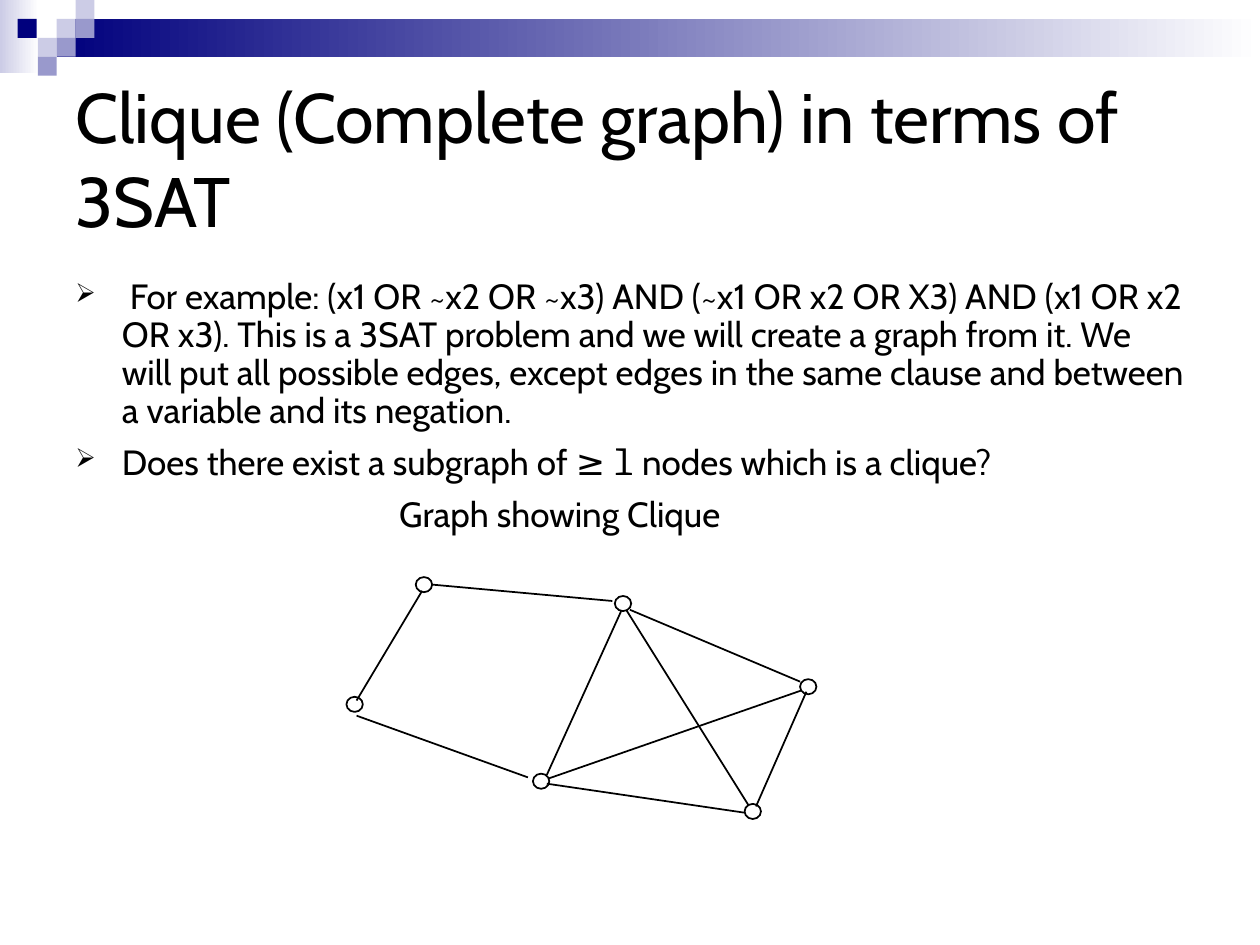
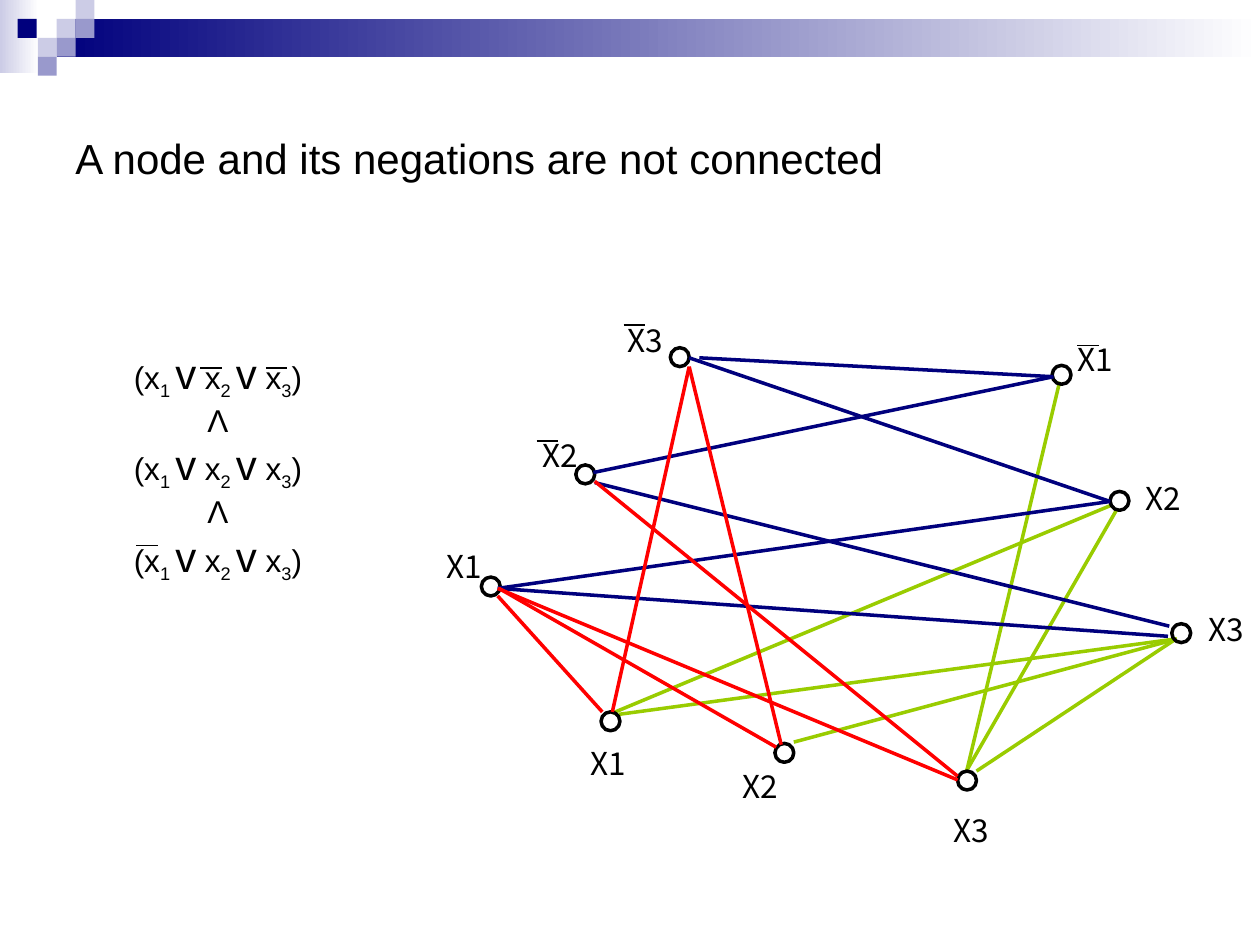
from lxml import etree
from pptx import Presentation
from pptx.dml.color import RGBColor
from pptx.enum.shapes import MSO_CONNECTOR as CONNECTOR, MSO_SHAPE as SHAPE
from pptx.enum.text import MSO_ANCHOR as ANCHOR, PP_ALIGN as ALIGN
from pptx.oxml.ns import qn
from pptx.util import Inches, Pt

BLACK, NAVY, PALE, MID = "000000", "00007D", "CCCCE6", "9999CC"
WHITE, RED, GREEN = "FFFFFF", "FF0000", "99CC00"
color = RGBColor.from_string


def add_text(slide, left, top, width, height, paragraphs, align=ALIGN.LEFT, anchor=ANCHOR.TOP):
    box = slide.shapes.add_textbox(Inches(left), Inches(top), Inches(width), Inches(height))
    frame = box.text_frame
    frame.word_wrap = True
    frame.vertical_anchor = anchor
    for number, runs in enumerate(paragraphs):
        paragraph = frame.add_paragraph() if number else frame.paragraphs[0]
        paragraph.alignment = align
        for text, size, font, baseline in runs:
            run = paragraph.add_run()
            run.text = text
            run.font.size = Pt(size)
            run.font.name = font
            run.font.color.rgb = color(BLACK)
            if baseline:
                run._r.get_or_add_rPr().set("baseline", str(baseline))
    return frame


def add_line(slide, x1, y1, x2, y2, line_color, weight):
    line = slide.shapes.add_connector(CONNECTOR.STRAIGHT, Inches(x1), Inches(y1), Inches(x2), Inches(y2))
    line.line.color.rgb = color(line_color)
    line.line.width = Pt(weight)
    etree.SubElement(line._element.spPr, qn("a:effectLst"))


deck = Presentation()
deck.slide_width, deck.slide_height = Inches(10), Inches(7.5)
clique, negations = [deck.slides.add_slide(deck.slide_layouts[6]) for _ in range(2)]

bands = [(0, 0, 0.31, 0.58, PALE), (0.45, 0.15, 9.55, 0.3, NAVY)]
squares = [
    (0.45, 0.15, PALE), (0.6, 0, PALE), (0.6, 0.15, MID), (0.3, 0.3, PALE),
    (0.14, 0.15, NAVY), (0.45, 0.3, MID), (0.3, 0.45, MID),
]
titles = [
    (clique, "Clique (Complete graph) in terms of 3SAT", 40, "Cabin"),
    (negations, "A node and its negations are not connected", 24, "Arial"),
]
for slide, title, size, font in titles:
    for left, top, width, height, start in bands:
        band = slide.shapes.add_shape(SHAPE.RECTANGLE, Inches(left), Inches(top), Inches(width), Inches(height))
        band.shadow.inherit = False
        band.line.fill.background()
        band.fill.gradient()
        band.fill.gradient_angle = 0
        for stop, shade in zip(band.fill.gradient_stops, (start, WHITE)):
            stop.color.rgb = color(shade)
    for left, top, shade in squares:
        square = slide.shapes.add_shape(SHAPE.RECTANGLE, Inches(left), Inches(top), Inches(0.15), Inches(0.15))
        square.shadow.inherit = False
        square.line.fill.background()
        square.fill.solid()
        square.fill.fore_color.rgb = color(shade)
    add_text(slide, 0.5, 0.5, 9, 1.5, [[(title, size, font, 0)]], anchor=ANCHOR.MIDDLE)

example = (
    " For example: (x1 OR ~x2 OR ~x3) AND (~x1 OR x2 OR X3) AND (x1 OR x2 OR x3). "
    "This is a 3SAT problem and we will create a graph from it. We will put all possible edges, "
    "except edges in the same clause and between a variable and its negation."
)
body = add_text(clique, 0.5, 2.17, 9, 2.39, [
    [(example, 20, "Cabin", 0)],
    [("Does there exist a subgraph of ≥ ", 20, "Cabin", 0), ("l", 20, "Noto Sans Mono", 0),
     (" nodes which is a clique?", 20, "Cabin", 0)],
    [("Graph showing Clique", 20, "Cabin", 0)],
])
for paragraph, before in zip(body.paragraphs, (0, 8, 8.5)):
    paragraph.line_spacing = 0.9
    paragraph.space_before = Pt(before)
for paragraph in body.paragraphs[:2]:
    properties = paragraph._p.get_or_add_pPr()
    properties.set("marL", str(Inches(0.37)))
    properties.set("indent", str(-Inches(0.37)))
    bullet_color = etree.SubElement(properties, qn("a:buClr"))
    etree.SubElement(bullet_color, qn("a:srgbClr"), val=BLACK)
    etree.SubElement(properties, qn("a:buSzPct"), val="75000")
    etree.SubElement(properties, qn("a:buChar"), char="➢")
body.paragraphs[2]._p.get_or_add_pPr().set("marL", str(Inches(2.57)))

node_labels = [
    ("X1", 3.42, 4.29), ("X2", 4.18, 3.41), ("X3", 4.86, 2.5),
    ("X1", 8.43, 2.65), ("X2", 8.97, 3.75), ("X3", 9.47, 4.79),
    ("X1", 4.56, 5.86), ("X2", 5.77, 6.04), ("X3", 7.44, 6.39),
]
for name, left, top in node_labels:
    add_text(negations, left, top, 0.53, 0.86, [[(name, 18, "Noto Sans CJK SC", 0)]], ALIGN.CENTER)

green_edges = [
    (4.86, 5.66, 8.82, 4.01), (4.91, 5.67, 9.34, 5.07), (6.3, 5.89, 9.31, 5.08),
    (7.75, 6.12, 9.32, 5.08), (7.67, 6.12, 8.86, 4.05), (7.67, 6.13, 8.41, 3.03),
]
for edge in green_edges:
    add_line(negations, *edge, GREEN, 2)

clique_nodes = [(4.23, 6.14), (4.88, 4.73), (6.35, 5.39), (5.91, 6.38), (3.3, 4.58), (2.75, 5.53)]
literal_nodes = [
    (5.32, 2.76), (4.57, 3.69), (3.82, 4.58), (8.35, 2.9), (8.81, 3.9),
    (9.3, 4.95), (4.77, 5.65), (6.15, 5.9), (7.6, 6.12),
]
for slide, nodes, width, height, weight in [
    (clique, clique_nodes, 0.13, 0.12, 1),
    (negations, literal_nodes, 0.15, 0.15, 2),
]:
    for left, top in nodes:
        node = slide.shapes.add_shape(SHAPE.OVAL, Inches(left), Inches(top), Inches(width), Inches(height))
        node.shadow.inherit = False
        node.fill.background()
        node.line.color.rgb = color(BLACK)
        node.line.width = Pt(weight)

clique_edges = [
    (4.93, 4.85, 4.34, 6.15), (5, 4.84, 6.35, 5.41), (6.4, 5.49, 6, 6.4),
    (4.34, 6.22, 5.91, 6.45), (4.97, 4.84, 5.94, 6.39), (4.35, 6.18, 6.36, 5.48),
    (3.35, 4.69, 2.83, 5.56), (2.83, 5.68, 4.19, 6.17), (3.43, 4.64, 4.86, 4.77),
]
navy_edges = [
    (3.95, 4.67, 8.81, 3.98), (3.95, 4.67, 9.27, 5.05), (4.71, 3.75, 8.36, 2.99),
    (4.72, 3.83, 9.28, 4.97), (5.47, 2.84, 8.81, 3.98), (5.55, 2.84, 8.36, 2.99),
]
red_edges = [
    (3.95, 4.73, 4.78, 5.65), (3.96, 4.67, 6.16, 5.93), (3.95, 4.67, 7.6, 6.19),
    (4.72, 3.82, 7.6, 6.16), (5.47, 2.91, 6.2, 5.91), (5.47, 2.91, 4.86, 5.65),
]
negation_bars = [
    (left, top, left + 0.17, top)
    for left, top in [(1.59, 2.92), (1.08, 4.33), (2.11, 2.92), (4.26, 3.5), (4.95, 2.58), (8.55, 2.74)]
]
for slide, edges, edge_color, weight in [
    (clique, clique_edges, BLACK, 1),
    (negations, navy_edges, NAVY, 2),
    (negations, red_edges, RED, 2),
    (negations, negation_bars, BLACK, 0.75),
]:
    for edge in edges:
        add_line(slide, *edge, edge_color, weight)

clause = [
    ("(x", 18, "Arial", 0), ("1 ", 18, "Arial", -25000), ("v", 24, "Arial", 0),
    (" x", 18, "Arial", 0), ("2 ", 18, "Arial", -25000), ("v", 24, "Arial", 0),
    (" x", 18, "Arial", 0), ("3", 18, "Arial", -25000), (")", 18, "Arial", 0),
]
conjunction = [("Λ", 18, "Arial", 0)]
add_text(negations, 0.63, 2.71, 2.2, 1.98, [clause, conjunction, clause, conjunction, clause], ALIGN.CENTER)

deck.save("out.pptx")
